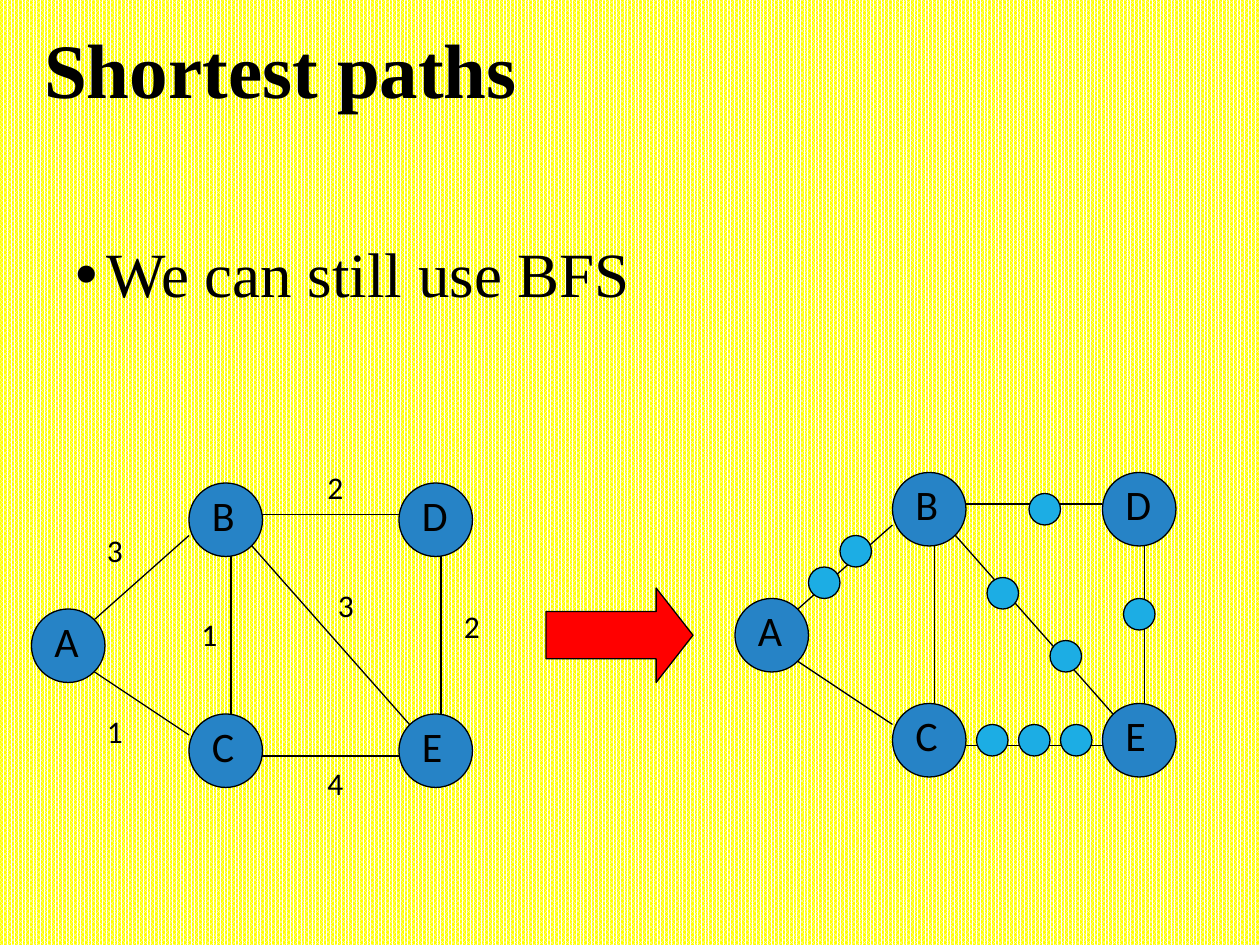
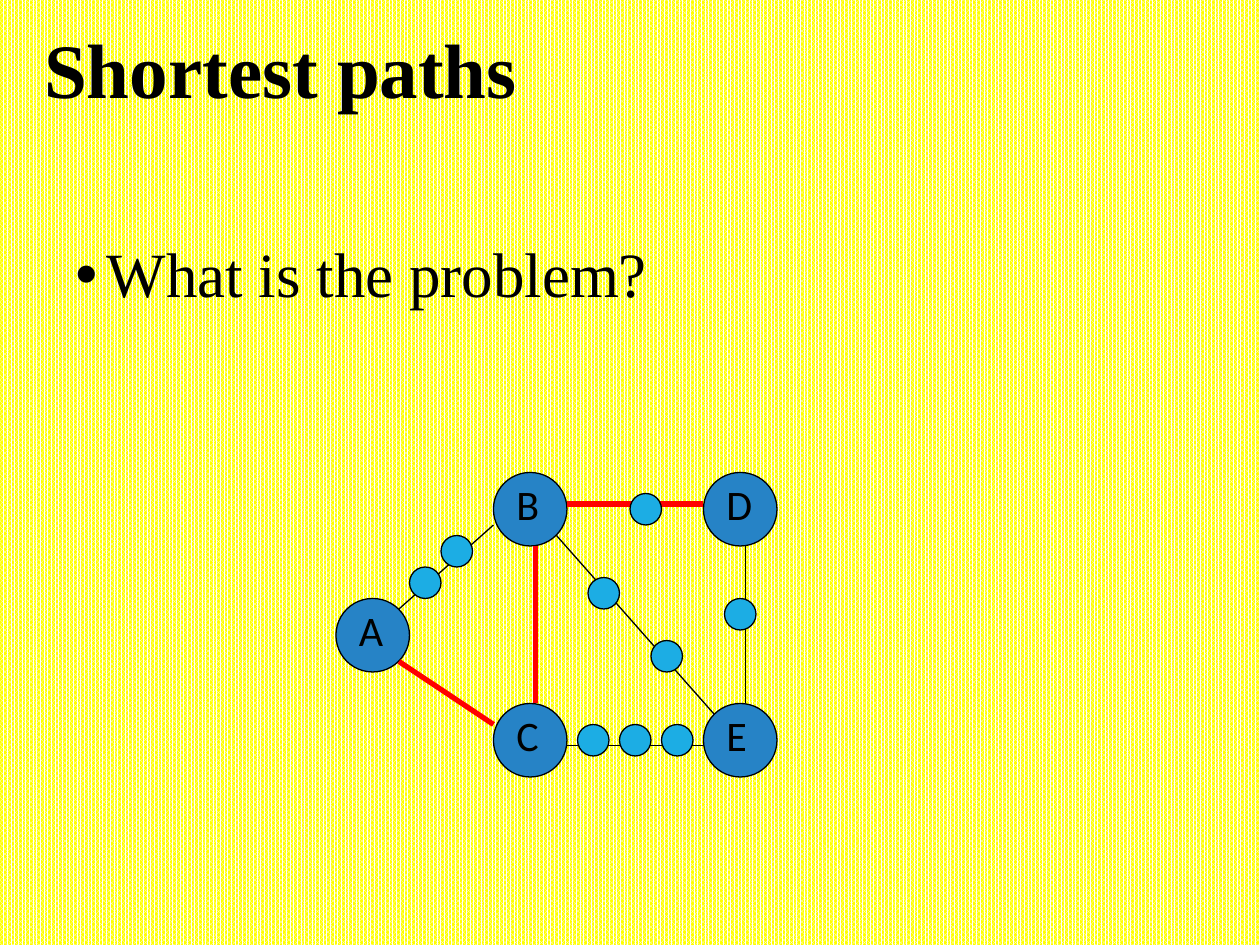
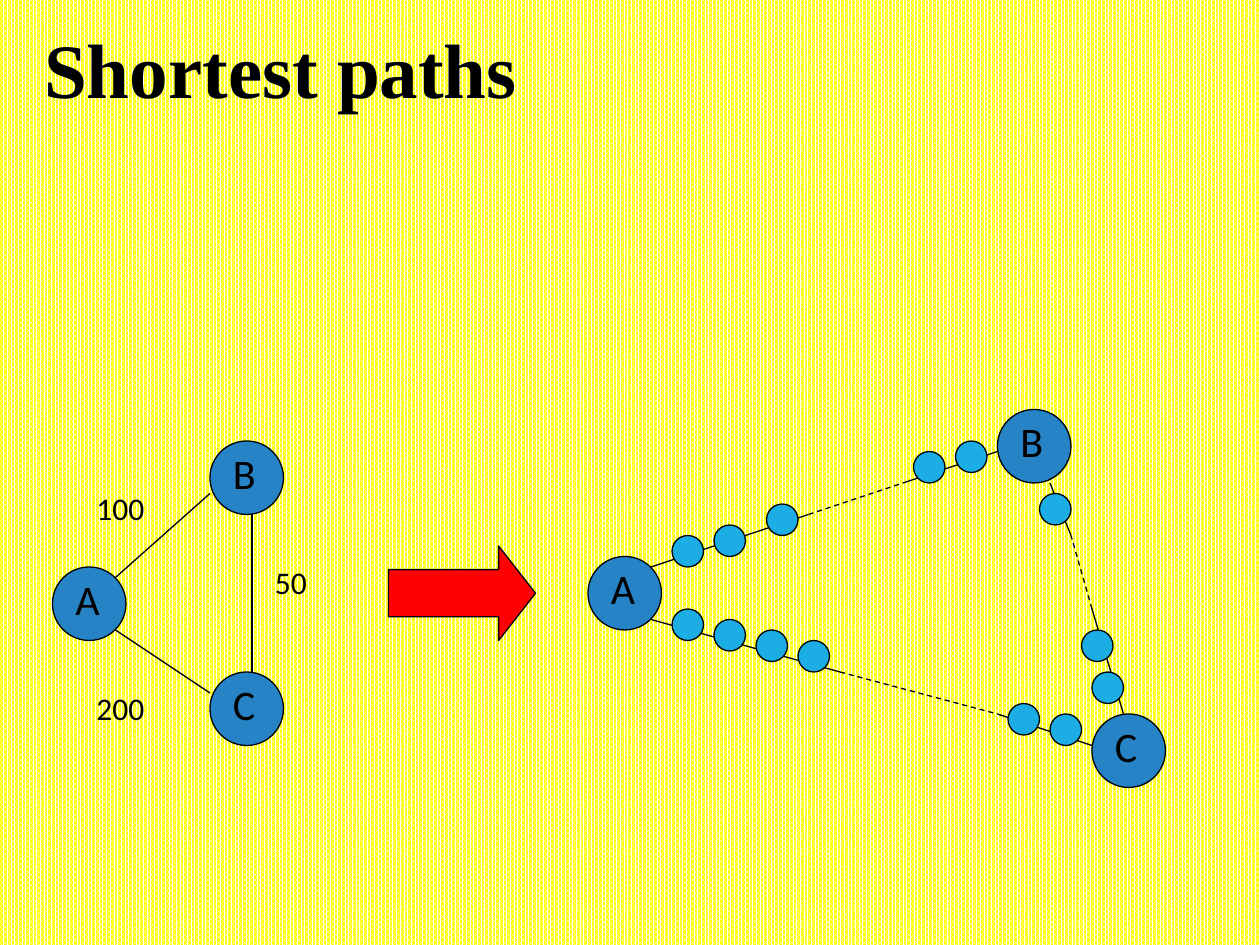
from dataclasses import dataclass
from typing import NamedTuple

from lxml.etree import SubElement
from pptx import Presentation
from pptx.dml.color import RGBColor
from pptx.enum.dml import MSO_LINE, MSO_PATTERN
from pptx.enum.shapes import MSO_CONNECTOR, MSO_SHAPE as SHAPE
from pptx.enum.text import MSO_ANCHOR as ANCHOR, MSO_AUTO_SIZE as AUTO
from pptx.oxml.ns import qn
from pptx.util import Cm, Pt

COLORS = {
    "ink": "000000",
    "node": "2683C6",
    "dot": "1CADE4",
    "accent": "FF0000",
    "stripe": "FFFFFF",
    "ground": "FFFF00",
}
SERIF, SANS = "Times New Roman", "Calibri"
NODE, DOT = 7, 3  # diameters in grid units


class Point(NamedTuple):
    x: float
    y: float


class Label(NamedTuple):
    text: str
    x: float
    y: float
    width: float = 7


@dataclass(frozen=True)
class Edge:
    start: Point
    end: Point


# The weighted graph, relative to its top left corner
NODES = {
    "A": Point(0, 12),
    "B": Point(15, 0),
    "C": Point(15, 22),
    "E": Point(35, 22),
    "D": Point(35, 0),
}
EDGES = {
    "AB": Edge(Point(6, 13), Point(15, 5)),
    "AC": Edge(Point(6, 18), Point(15, 24)),
    "CE": Edge(Point(22, 26), Point(35, 26)),
    "ED": Edge(Point(39, 22), Point(39, 7)),
    "CB": Edge(Point(19, 22), Point(19, 7)),
    "BD": Edge(Point(22, 3), Point(35, 3)),
    "BE": Edge(Point(21, 6), Point(36, 23)),
}
# Dots that split each edge into steps of length one
STEPS = [Point(7, 9), Point(10, 6), Point(24, 10), Point(30, 16), Point(37, 12),
         Point(28, 2), *(Point(x, 24) for x in (23, 27, 31))]

WEIGHTS = [Label("1", 9, 67.2), Label("1", 18, 58), Label("3", 9, 50),
           Label("2", 30, 44), Label("2", 43, 57.2), Label("3", 31, 55.2),
           Label("4", 30, 72.2)]
LARGE_WEIGHTS = [Label("200", 8, 65, 14), Label("50", 25, 53), Label("100", 8, 46, 10)]

# The long triangle: the middle part of each route is dashed
LONG_NODES = {"A": Point(56, 53), "B": Point(95, 39), "C": Point(104, 68)}
LONG_ROUTES = [
    [Point(62, 54), Point(77, 49), Point(86, 46), Point(95, 43)],
    [Point(62, 59), Point(80, 64), Point(95, 68), Point(104, 71)],
    [Point(107, 68), Point(104, 58), Point(102, 51), Point(100, 46)],
]
LONG_STEPS = [Point(64, 51), Point(68, 50), Point(73, 48), Point(87, 43), Point(91, 42),
              *(Point(64 + 4 * i, 58 + i) for i in range(4)),
              Point(96, 67), Point(100, 68), Point(104, 64), Point(103, 60), Point(99, 47)]


def grid(n: float) -> int:
    """Twelve grid units make 2.54 cm."""
    return Cm(2.54 * n / 12)


def rgb(name: str) -> RGBColor:
    return RGBColor.from_string(COLORS[name])


# Basic parts
def add_text(shapes, text: str, left: int, top: int, width: int, height: int, *,
             size: float, font: str = SANS, bold: bool = False, anchor=ANCHOR.TOP,
             grow: bool = False, spacing: float | None = None,
             before: tuple[str, int] | None = None, bullet: bool = False):
    sp = shapes.add_textbox(left, top, width, height)
    tf = sp.text_frame
    tf.word_wrap = True
    tf.vertical_anchor = anchor
    tf.auto_size = AUTO.SHAPE_TO_FIT_TEXT if grow else AUTO.NONE
    p = tf.paragraphs[0]
    if spacing:
        p.line_spacing = spacing
    pPr = p._p.get_or_add_pPr()
    if before:
        tag, val = before
        SubElement(SubElement(pPr, qn("a:spcBef")), qn(tag), val=str(val))
    if bullet:
        pPr.set("marL", str(grid(3)))
        pPr.set("indent", str(-grid(3)))
        SubElement(pPr, qn("a:buFont"), typeface="Arial")
        SubElement(pPr, qn("a:buChar"), char="•")
    r = p.add_run()
    r.text = text
    r.font.size, r.font.name, r.font.bold = Pt(size), font, bold
    r.font.color.rgb = rgb("ink")
    return sp


def add_solid(shapes, kind, at: Point, width: float, height: float, color: str):
    sp = shapes.add_shape(kind, grid(at.x), grid(at.y), grid(width), grid(height))
    sp.shadow.inherit = False
    sp.fill.solid()
    sp.fill.fore_color.rgb = rgb(color)
    sp.line.color.rgb = rgb("ink")
    sp.line.width = Pt(0.75)
    return sp


def add_line(slide, start: Point, end: Point, color: str = "ink",
             width: float = 0.75, dashed: bool = False) -> None:
    line = slide.shapes.add_connector(
        MSO_CONNECTOR.STRAIGHT, grid(start.x), grid(start.y), grid(end.x), grid(end.y))
    line.line.color.rgb = rgb(color)
    line.line.width = Pt(width)
    if dashed:
        line.line.dash_style = MSO_LINE.DASH
    SubElement(line._element.spPr, qn("a:effectLst"))


# Graph parts
def add_node(slide, name: str, at: Point) -> None:
    shapes = slide.shapes.add_group_shape().shapes
    add_solid(shapes, SHAPE.OVAL, at, NODE, NODE, "node")
    add_text(shapes, name, grid(at.x + 1), grid(at.y), grid(6), grid(6),
             size=24, grow=True, before=("a:spcPct", 50000))


def add_dots(slide, dots: list[Point], origin: Point = Point(0, 0)) -> None:
    for dot in dots:
        add_solid(slide.shapes, SHAPE.OVAL, shift(dot, origin), DOT, DOT, "dot")


def add_labels(slide, labels: list[Label]) -> None:
    for label in labels:
        add_text(slide.shapes, label.text, grid(label.x), grid(label.y),
                 grid(label.width), grid(4.8), size=18, grow=True,
                 before=("a:spcPct", 50000))


def add_arrow(slide, at: Point) -> None:
    sp = add_solid(slide.shapes, SHAPE.RIGHT_ARROW, at, 14, 9, "accent")
    sp.adjustments[0], sp.adjustments[1] = 0.5, 0.39


def shift(point: Point, origin: Point) -> Point:
    return Point(point.x + origin.x, point.y + origin.y)


def add_graph(slide, origin: Point, names: str = "ABCED",
              marked: tuple[str, ...] = ()) -> None:
    for name in names:
        add_node(slide, name, shift(NODES[name], origin))
    for ends, edge in EDGES.items():
        if set(ends) <= set(names):
            style = {"color": "accent", "width": 3} if ends in marked else {}
            add_line(slide, shift(edge.start, origin), shift(edge.end, origin), **style)


# What all slides share
def add_slide(prs, bullet: str = ""):
    slide = prs.slides.add_slide(prs.slide_layouts[6])
    fill = slide.background.fill
    fill.patterned()
    fill.pattern = MSO_PATTERN.PERCENT_80
    fill.fore_color.rgb = rgb("stripe")
    fill.back_color.rgb = rgb("ground")
    add_text(slide.shapes, "Shortest paths", Cm(0.64), Cm(0.38), Cm(23.95), Cm(2.21),
             size=44, font=SERIF, bold=True, anchor=ANCHOR.MIDDLE, spacing=0.9)
    if bullet:
        add_text(slide.shapes, bullet, Cm(1.27), Cm(4.78), Cm(22.86), Cm(2.21),
                 size=36, font=SERIF, spacing=0.9, before=("a:spcPts", 1000), bullet=True)
    return slide


# Slides
def add_bfs_slide(prs) -> None:
    slide = add_slide(prs, "We can still use BFS")
    add_graph(slide, Point(3, 46))
    add_labels(slide, WEIGHTS)
    split = Point(70, 45)
    add_graph(slide, split)
    add_dots(slide, STEPS, split)
    add_arrow(slide, Point(52, 56))


def add_problem_slide(prs) -> None:
    slide = add_slide(prs, "What is the problem?")
    origin = Point(32, 45)
    add_graph(slide, origin, marked=("AC", "CB", "BD"))
    add_dots(slide, STEPS, origin)


def add_large_weights_slide(prs) -> None:
    slide = add_slide(prs)
    add_graph(slide, Point(5, 42), names="ABC")
    add_labels(slide, LARGE_WEIGHTS)
    for name, at in LONG_NODES.items():
        add_node(slide, name, at)
    add_arrow(slide, Point(37, 52))
    for route in LONG_ROUTES:
        for i, (start, end) in enumerate(zip(route, route[1:])):
            add_line(slide, start, end, dashed=i == 1)
    add_dots(slide, LONG_STEPS)


def main() -> None:
    prs = Presentation()
    prs.slide_width, prs.slide_height = Cm(25.4), Cm(19.05)
    add_bfs_slide(prs)
    add_problem_slide(prs)
    add_large_weights_slide(prs)
    prs.save("out.pptx")


if __name__ == "__main__":
    main()
